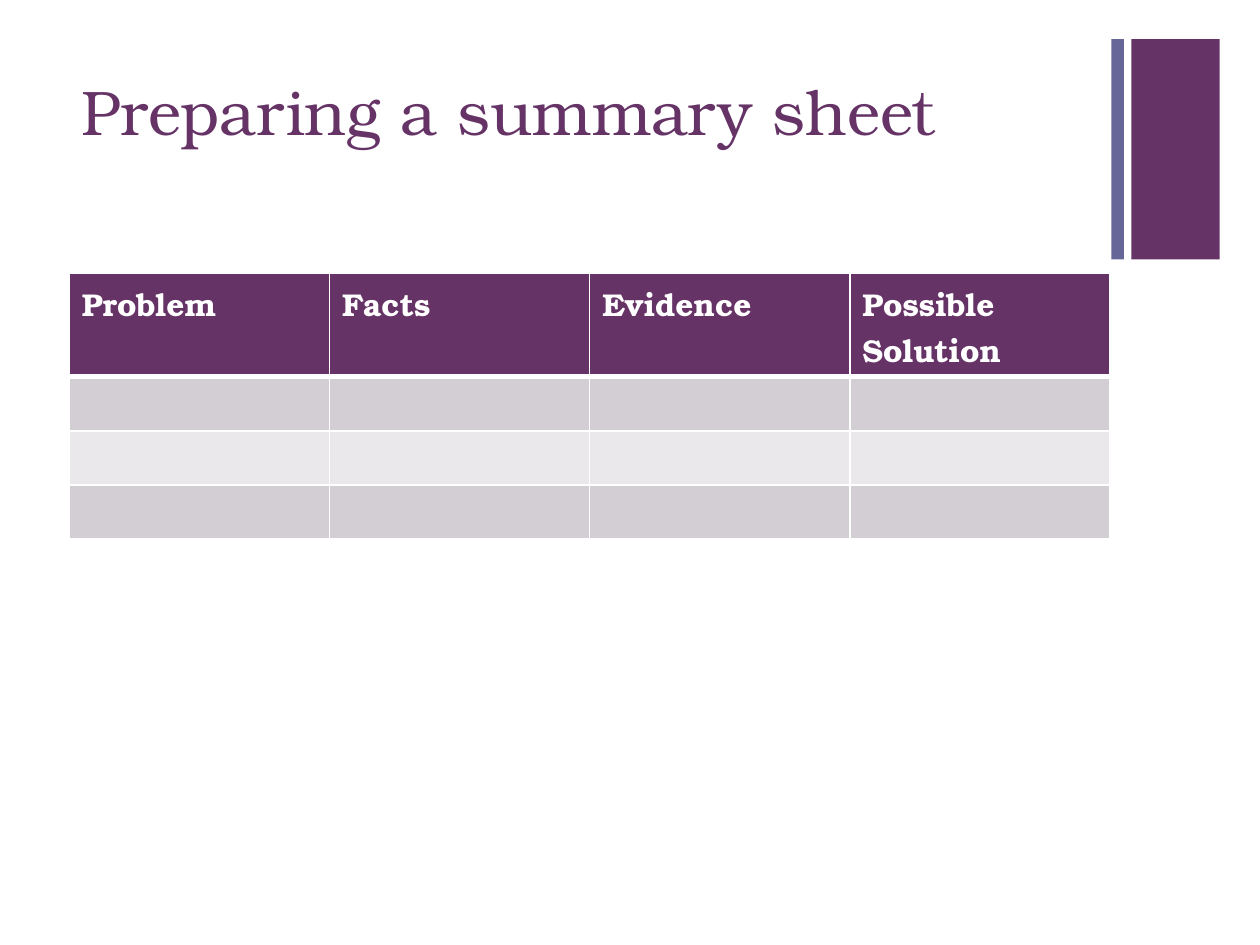
from dataclasses import dataclass
from lxml.etree import SubElement as Sub
from pptx import Presentation
from pptx.dml.color import RGBColor as RGB
from pptx.enum.shapes import MSO_SHAPE as Shape
from pptx.enum.text import MSO_ANCHOR as Anchor
from pptx.oxml.ns import qn
from pptx.util import Inches, Pt

WIDE, HIGH = 10, 7.5
FONT = "TeX Gyre Bonum"
HUES = {"plum": "663366", "slate": "666699", "white": "FFFFFF",
        "dark": "D3CED3", "light": "EAE8EA"}
HEADS = ["Problem", "Facts", "Evidence", "Possible Solution"]
BANDS = ["dark", "light", "dark"]
LEFT, SPAN = 0.55, 8.26
HEAD, ROW = 0.82, 0.43


@dataclass
class Bar:
    left: float
    width: float
    hue: str


BARS = [Bar(8.98, 0.7, "plum"), Bar(8.82, 0.1, "slate")]


def paint(fill, hue: str) -> None:
    fill.solid()
    fill.fore_color.rgb = RGB.from_string(HUES[hue])


def style(run, hue: str, **form) -> None:
    for key, value in {"name": FONT, **form}.items():
        setattr(run.font, key, value)
    run.font.color.rgb = RGB.from_string(HUES[hue])


def draw_bar(slide, bar: Bar) -> None:
    box = [Inches(n) for n in (bar.left, 0.31, bar.width, 1.75)]
    shape = slide.shapes.add_shape(Shape.RECTANGLE, *box)
    shape.shadow.inherit = False
    paint(shape.fill, bar.hue)
    shape.line.fill.background()


def draw_title(slide, text: str) -> None:
    box = [Inches(n) for n in (LEFT, 0.53, SPAN, 1.22)]
    frame = slide.shapes.add_textbox(*box).text_frame
    frame.word_wrap = True
    frame.vertical_anchor = Anchor.TOP
    run = frame.paragraphs[0].add_run()
    run.text = text
    style(run, "plum", size=Pt(36))


def edge(cell, low: float) -> None:
    """White cell borders, ahead of the fill; low is the bottom width."""
    props = cell._tc.get_or_add_tcPr()
    for side, width in {"L": 1, "R": 1, "T": 1, "B": low}.items():
        line = Sub(props, qn(f"a:ln{side}"), w=str(Pt(width)))
        Sub(Sub(line, qn("a:solidFill")), qn("a:srgbClr"), val=HUES["white"])


def draw_table(slide) -> None:
    rows, cols = len(BANDS) + 1, len(HEADS)
    box = [Inches(n) for n in (LEFT, 2.17, SPAN, HEAD + ROW * len(BANDS))]
    table = slide.shapes.add_table(rows, cols, *box).table
    for r, hue in enumerate(["plum"] + BANDS):
        table.rows[r].height = Inches(ROW if r else HEAD)
        for c, head in enumerate(HEADS):
            cell = table.cell(r, c)
            edge(cell, 1 if r else 3)
            paint(cell.fill, hue)
            if r == 0:
                run = cell.text_frame.paragraphs[0].add_run()
                run.text = head
                style(run, "white", size=Pt(18), bold=True)
    # Top edge of the first body row matches the thick header rule
    for c in range(cols):
        table.cell(1, c)._tc.tcPr.find(qn("a:lnT")).set("w", str(Pt(3)))


def main() -> None:
    deck = Presentation()
    deck.slide_width, deck.slide_height = Inches(WIDE), Inches(HIGH)
    slide = deck.slides.add_slide(deck.slide_layouts[6])
    for bar in BARS:
        draw_bar(slide, bar)
    draw_title(slide, "Preparing a summary sheet")
    draw_table(slide)
    deck.save("out.pptx")


if __name__ == "__main__":
    main()
